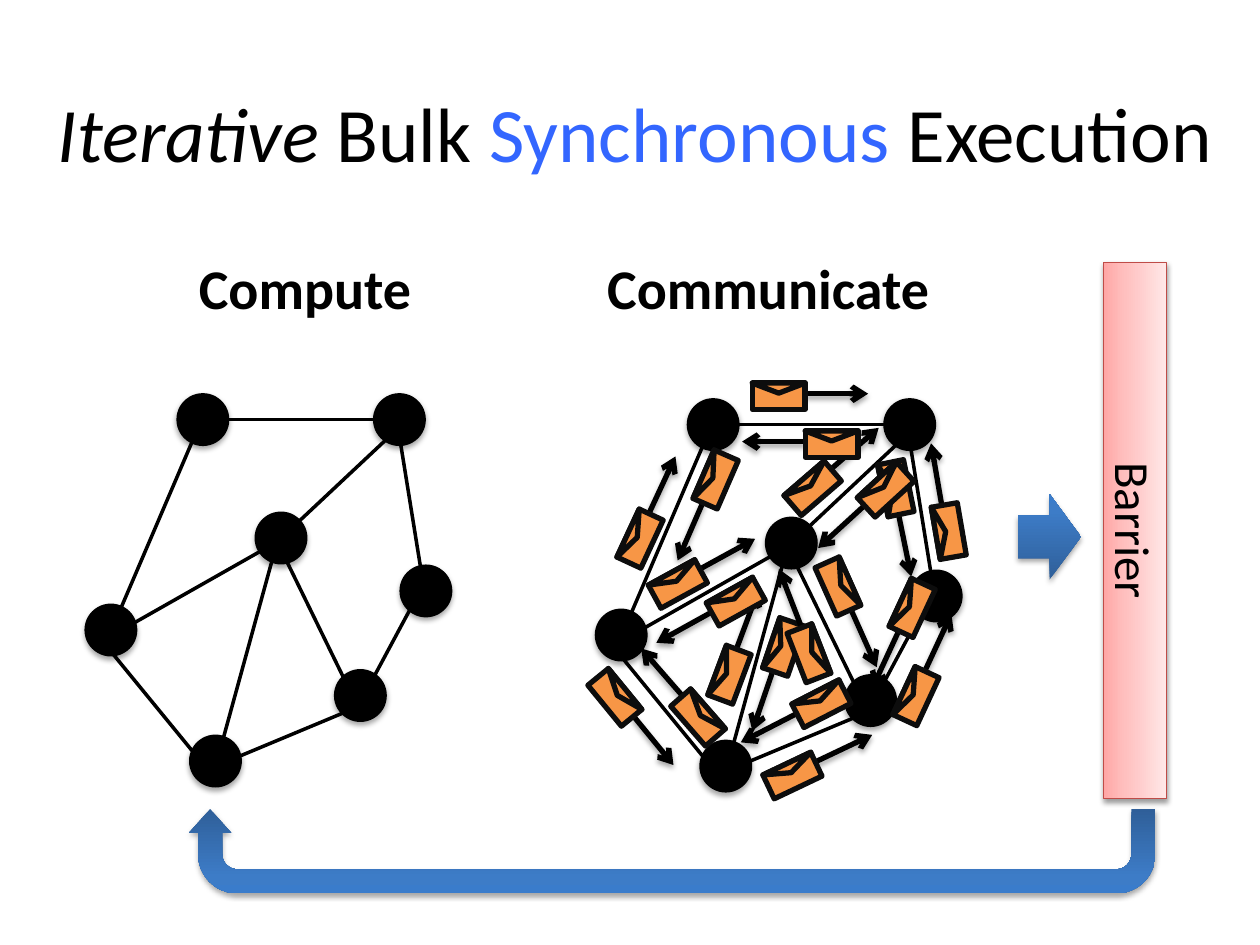
"""Build the slide on iterative bulk synchronous execution."""
import math

import pptx
import pptx.dml.color
import pptx.enum.shapes
import pptx.enum.text
import pptx.oxml
import pptx.oxml.ns
import pptx.util

SHAPE = pptx.enum.shapes.MSO_SHAPE
ALIGN = pptx.enum.text.PP_ALIGN
ANCHOR = pptx.enum.text.MSO_ANCHOR
COLORS = {
    "black": "000000", "accent": "3366FF", "envelope": "F79646",
    "ink": "0D0D0D", "barrier_line": "BF4C48",
}
BLUE_STOPS = [(0, "2F5F99"), (80, "3D7CC7"), (100, "3A7CCB")]
RED_STOPS = [(0, "FFA6A5"), (35, "FFC0BF"), (100, "FFE7E7")]

CM_PER_UNIT = 2.54
NODE_SIZE = 0.42
NODES = [(1.4, 3.12), (2.96, 3.12), (3.17, 4.48), (2.65, 5.31),
         (2.02, 4.06), (1.5, 5.83), (0.67, 4.79)]
HUB, TOP_LEFT, TOP_RIGHT = (2.2, 4.3), (1.6, 3.33), (3.16, 3.4)
LEFT, RIGHT, LOW_RIGHT, BOTTOM = (0.86, 5.06), (3.36, 4.64), (2.84, 5.61), (1.69, 6.16)
EDGES = [
    (HUB, TOP_RIGHT), (LEFT, HUB), (TOP_LEFT, (3.17, 3.33)), (TOP_LEFT, LEFT),
    (HUB, BOTTOM), ((0.79, 5.06), BOTTOM), (TOP_RIGHT, RIGHT),
    (RIGHT, LOW_RIGHT), (HUB, LOW_RIGHT), ((1.69, 6.09), LOW_RIGHT),
]
FORWARD = [
    (5.97, 3.04, 0), (4.87, 4.17, 294.9), (5.17, 4.53, 331.3),
    (7.06, 5.42, 294.9), (7.32, 4.11, 260.2), (6.24, 3.77, 319.2),
    (6.08, 6.05, 334.6), (4.67, 5.43, 50.7), (6.44, 4.55, 65.9),
    (5.58, 5.25, 290.5),
]
BACKWARD = [
    (6.39, 3.42, 0), (5.47, 3.7, 293.5), (5.63, 4.67, 331),
    (5.33, 5.59, 48.9), (6.01, 5.03, 288.9), (6.31, 5.48, 332.8),
    (6.21, 5.08, 68.8), (6.9, 3.77, 258.5), (7.03, 4.72, 294.9),
    (6.82, 3.78, 317.5),
]


def length(value):
    """Convert a layout unit to a length."""
    return pptx.util.Cm(value * CM_PER_UNIT)


def rgb(name):
    """Look up a named colour."""
    return pptx.dml.color.RGBColor.from_string(COLORS[name])


def add_xml(parent, xml):
    """Append an XML fragment in the drawing namespace and return it."""
    tag, rest = xml[1:].split(" ", 1)
    el = pptx.oxml.parse_xml(f"<{tag} {pptx.oxml.ns.nsdecls('a')} {rest}")
    parent.append(el)
    return el


def set_effect(sp, alpha=0):
    """Give a shape a soft lower shadow, or none when alpha is zero."""
    for old in sp._element.spPr.findall(pptx.oxml.ns.qn("a:effectLst")):
        sp._element.spPr.remove(old)
    shadow = (f'<a:outerShdw blurRad="39370" dist="22860" dir="5400000" rotWithShape="0">'
              f'<a:srgbClr val="000000"><a:alpha val="{alpha * 1000}"/></a:srgbClr>'
              f'</a:outerShdw>') if alpha else ""
    add_xml(sp._element.spPr, f"<a:effectLst >{shadow}</a:effectLst>")


def set_gradient(sp, stops):
    """Fill a shape with a gradient running from its bottom to its top."""
    sp.fill.gradient()
    sp.fill.gradient_angle = 90
    gs_list = sp._element.spPr.find(".//" + pptx.oxml.ns.qn("a:gsLst"))
    for gs in list(gs_list):
        gs_list.remove(gs)
    for pos, color in stops:
        add_xml(gs_list, f'<a:gs pos="{pos * 1000}"><a:srgbClr val="{color}"/></a:gs>')


def add_shape(s, kind, box, fill, line=None, width=1, rotation=0, shadow=0):
    """Add a preset shape with a plain or gradient fill."""
    sp = s.shapes.add_shape(kind, *map(length, box))
    sp.rotation = rotation
    if isinstance(fill, list):
        set_gradient(sp, fill)
    else:
        sp.fill.solid()
        sp.fill.fore_color.rgb = rgb(fill)
    if line:
        sp.line.color.rgb = rgb(line)
        sp.line.width = pptx.util.Pt(width)
    else:
        sp.line.fill.background()
    set_effect(sp, shadow)
    return sp


def add_line(s, start, end, width=2, arrow=False):
    """Add a straight black line, with an arrowhead and shadow if asked."""
    sp = s.shapes.add_connector(pptx.enum.shapes.MSO_CONNECTOR.STRAIGHT,
                                *map(length, (*start, *end)))
    sp.line.color.rgb = rgb("black")
    sp.line.width = pptx.util.Pt(width)
    if arrow:
        add_xml(sp.line._get_or_add_ln(), '<a:tailEnd type="arrow"/>')
    set_effect(sp, 35 if arrow else 0)


def add_run(p, text, size, color="black", bold=False, italic=False):
    """Add a formatted run to a paragraph."""
    r = p.add_run()
    r.text = text
    r.font.name = "Calibri"
    r.font.size = pptx.util.Pt(size)
    r.font.bold, r.font.italic = bold, italic
    r.font.color.rgb = rgb(color)


def add_text(s, box, runs, size, align=ALIGN.LEFT, anchor=ANCHOR.TOP, wrap=False):
    """Add a text box made of one paragraph of (text, format) runs."""
    tf = s.shapes.add_textbox(*map(length, box)).text_frame
    tf.word_wrap, tf.vertical_anchor = wrap, anchor
    p = tf.paragraphs[0]
    p.alignment = align
    for text, style in runs:
        add_run(p, text, size, **style)


def add_network(s, dx=0, dy=0):
    """Add the graph of edges and nodes, shifted by an offset."""
    for edge in EDGES:
        add_line(s, *[(x + dx, y + dy) for x, y in edge])
    for x, y in NODES:
        add_shape(s, SHAPE.OVAL, (x + dx, y + dy, NODE_SIZE, NODE_SIZE), "black", shadow=35)


def add_message(s, left, top, angle, direction):
    """Add an envelope turned by an angle, with an arrow leaving one end."""
    w, h, flap_h = 0.42, 0.21, 0.08
    cx, cy = left + w / 2, top + h / 2
    cos, sin = math.cos(math.radians(angle)), math.sin(math.radians(angle))

    def turned(x, y):
        return cx + x * cos - y * sin, cy + x * sin + y * cos

    add_line(s, turned(direction * w / 2, -0.02),
             turned(direction * (w / 2 + 0.5), -0.02), width=3, arrow=True)
    add_shape(s, SHAPE.RECTANGLE, (left, top, w, h), "envelope", "ink", 3, angle)
    fx, fy = turned(0, (flap_h - h) / 2)
    add_shape(s, SHAPE.ISOSCELES_TRIANGLE, (fx - w / 2, fy - flap_h / 2, w, flap_h),
              "envelope", "ink", 3, (angle + 180) % 360)


def add_barrier(s):
    """Add the upright barrier and the arrow leading to it."""
    add_shape(s, SHAPE.RIGHT_ARROW, (8.08, 3.92, 0.5, 0.68), BLUE_STOPS, shadow=35)
    sp = add_shape(s, SHAPE.RECTANGLE, (6.88, 3.96, 4.25, 0.5), RED_STOPS,
                   "barrier_line", 0.75, 90, shadow=38)
    tf = sp.text_frame
    tf.word_wrap, tf.vertical_anchor = False, ANCHOR.MIDDLE
    tf.paragraphs[0].alignment = ALIGN.CENTER
    add_run(tf.paragraphs[0], "Barrier", 28)


def main():
    """Build and save the slide."""
    prs = pptx.Presentation()
    prs.slide_width, prs.slide_height = length(10), length(7.5)
    s = prs.slides.add_slide(prs.slide_layouts[6])
    add_barrier(s)
    add_text(s, (0.25, 0.17, 9.58, 1.75),
             [("Iterative ", {"italic": True}), ("Bulk ", {}),
              ("Synchronous ", {"color": "accent"}), ("Execution", {})],
             44, ALIGN.CENTER, ANCHOR.MIDDLE, wrap=True)
    add_network(s)
    add_network(s, 4.05, 0.04)
    for direction, messages in ((1, FORWARD), (-1, BACKWARD)):
        for message in messages:
            add_message(s, *message, direction)
    add_text(s, (1.48, 1.96, 1.9, 0.64), [("Compute", {"bold": True})], 32)
    add_text(s, (4.72, 1.96, 2.78, 0.64), [("Communicate", {"bold": True})], 32)
    sp = add_shape(s, SHAPE.U_TURN_ARROW, (1.5, 6.42, 7.67, 0.67), BLUE_STOPS,
                   rotation=180, shadow=35)
    for i, value in enumerate((0.285, 0.25, 0.283, 0.463, 1)):
        sp.adjustments[i] = value
    prs.save("out.pptx")


if __name__ == "__main__":
    main()
